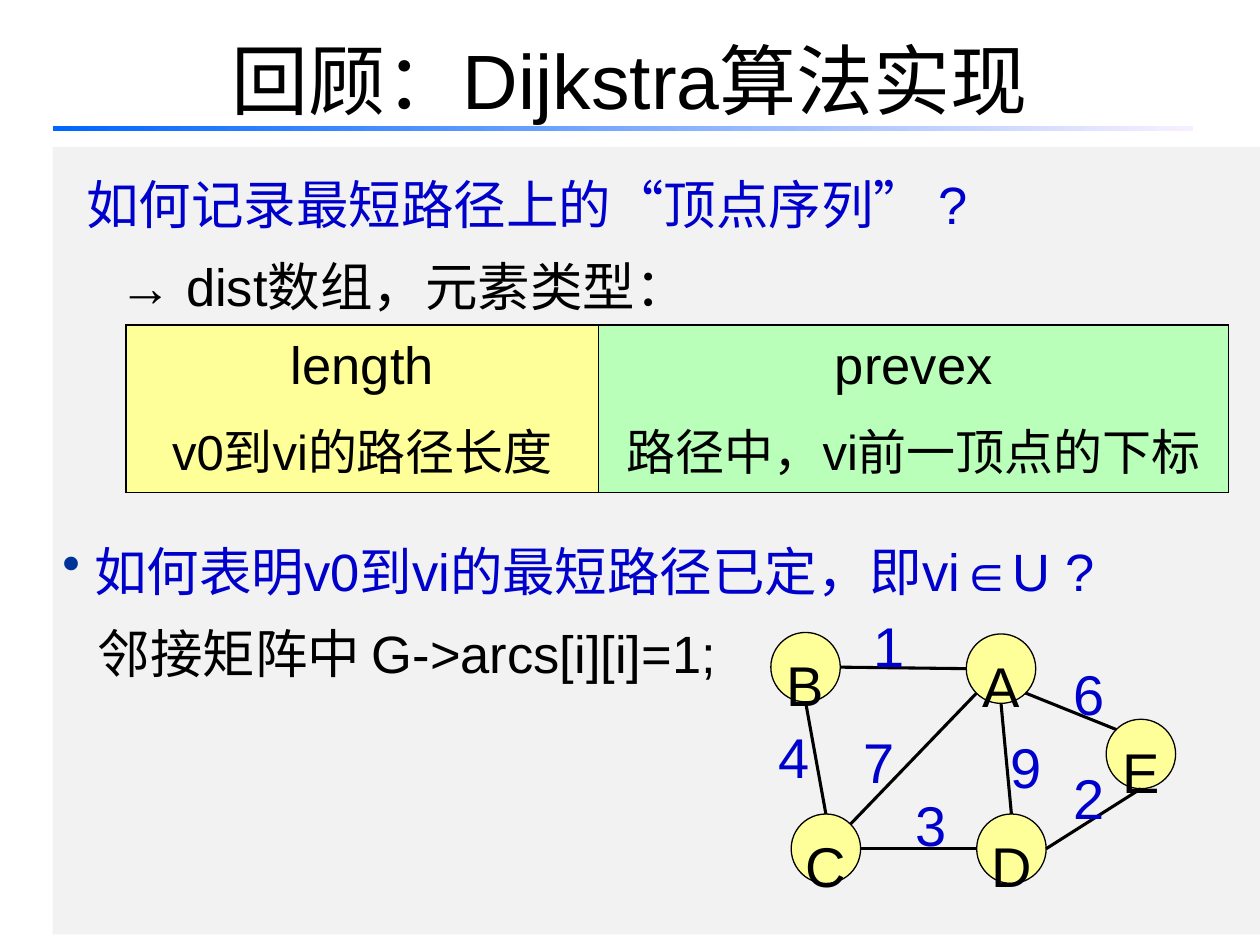
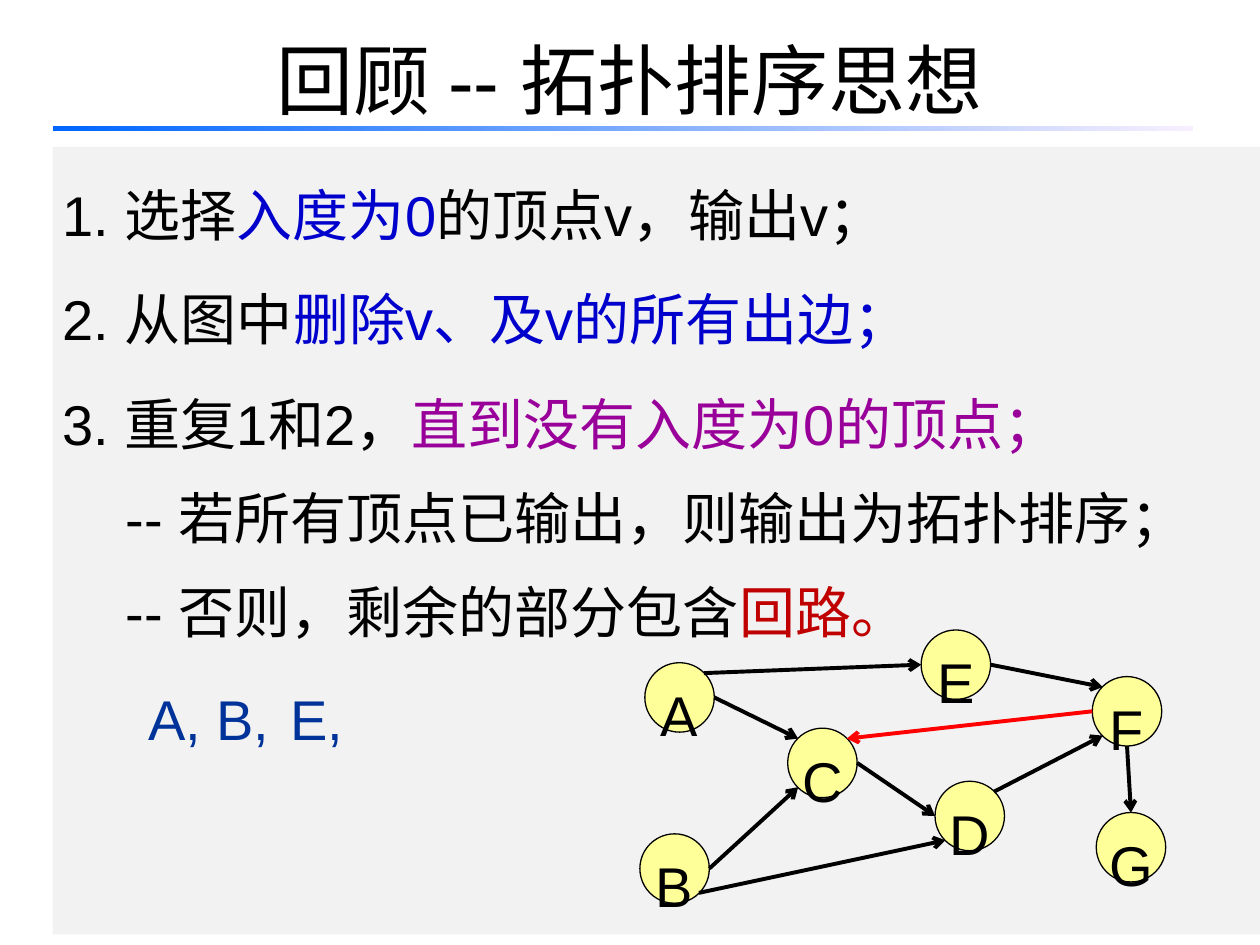
from lxml import etree
from pptx import Presentation
from pptx import util as u
from pptx.dml.color import RGBColor
from pptx.enum import shapes, text
from pptx.oxml.ns import qn

COLORS = {
    "black": "000000", "blue": "0000CC", "navy": "003399", "purple": "990099",
    "crimson": "C00000", "red": "FF0000", "panel": "F2F2F2",
    "yellow": "FFFF99", "green": "B9FFB9",
    "rule_start": "0066FF", "rule_end": "F7EFFF",
}
LATIN, CJK = "Arial", "Noto Sans CJK SC"
NODE_SIZE = 1.4
# Connection sites of an ellipse: number and place as a fraction of its size
SITES = {
    "top": (0, .5, 0), "top_left": (1, .15, .15), "left": (2, 0, .5),
    "bottom_left": (3, .15, .85), "bottom": (4, .5, 1),
    "bottom_right": (5, .85, .85), "right": (6, 1, .5), "top_right": (7, .85, .15),
}


def rgb(name):
    return RGBColor.from_string(COLORS[name])


def write(frame, paragraphs, size=32, font=LATIN, color="black", align="LEFT",
          line=None, anchor="TOP", wrap=True, insets=(.25, .13)):
    """Fill a frame; a paragraph is (runs, options), a run is (words, options)."""
    frame.word_wrap = wrap
    frame.vertical_anchor = getattr(text.MSO_ANCHOR, anchor)
    frame.margin_left = frame.margin_right = u.Cm(insets[0])
    frame.margin_top = frame.margin_bottom = u.Cm(insets[1])
    for number, (runs, options) in enumerate(paragraphs):
        paragraph = frame.add_paragraph() if number else frame.paragraphs[0]
        properties = paragraph._p.get_or_add_pPr()
        properties.set("marL", str(u.Cm(options.get("left", 0))))
        properties.set("indent", str(u.Cm(options.get("first", 0))))
        if "bullet" in options:
            etree.SubElement(properties, qn("a:buChar"), char=options["bullet"])
        paragraph.alignment = getattr(text.PP_ALIGN, align)
        if line:
            paragraph.line_spacing = line
        if "before" in options:
            paragraph.space_before = u.Pt(options["before"])
        for words, style in runs:
            run = paragraph.add_run()
            run.text = words
            run.font.name = style.get("font", font)
            run.font.size = u.Pt(options.get("size", size))
            run.font.bold = style.get("bold", False)
            run.font.color.rgb = rgb(style.get("color", color))


def plain(words, **options):
    return [(words, {})], options


def add_text(slide, paragraphs, left, top, width, height, **style):
    box = slide.shapes.add_textbox(u.Cm(left), u.Cm(top), u.Cm(width), u.Cm(height))
    write(box.text_frame, paragraphs, **style)


def add_shape(slide, kind, left, top, width, height, fill=None, line=None):
    shape = slide.shapes.add_shape(kind, u.Cm(left), u.Cm(top), u.Cm(width), u.Cm(height))
    shape.shadow.inherit = False
    if fill:
        shape.fill.solid()
        shape.fill.fore_color.rgb = rgb(fill)
    if line:
        shape.line.color.rgb = rgb(line)
        shape.line.width = u.Pt(.75)
    else:
        shape.line.fill.background()
    return shape


def add_frame(deck, title_runs):
    """Start a slide with its title, rule and grey panel; return slide and panel."""
    slide = deck.slides.add_slide(deck.slide_layouts[6])
    rule = add_shape(slide, shapes.MSO_SHAPE.RECTANGLE, 1.06, 2.54, 22.99, .1)
    rule.fill.gradient()
    rule.fill.gradient_angle = 0
    for stop, name in zip(rule.fill.gradient_stops, ("rule_start", "rule_end")):
        stop.color.rgb = rgb(name)
    panel = add_shape(slide, shapes.MSO_SHAPE.RECTANGLE, 1.06, 2.96, 24.34, 15.88, "panel")
    add_text(slide, [(title_runs, {})], 1.27, 0, 22.86, 3.18,
             size=44, align="CENTER", anchor="MIDDLE")
    return slide, panel


def add_nodes(slide, places):
    nodes = {}
    for letter, (left, top) in places.items():
        node = add_shape(slide, shapes.MSO_SHAPE.OVAL, left, top,
                         NODE_SIZE, NODE_SIZE, "yellow", "black")
        write(node.text_frame, [plain(letter)], align="CENTER", line=1.5,
              anchor="MIDDLE", wrap=False, insets=(0, 0))
        nodes[letter] = node
    return nodes


def add_edge(slide, nodes, start, start_site, end, end_site,
             color="black", width=1.75, arrow=False):
    points, glue = [], []
    for letter, site in ((start, start_site), (end, end_site)):
        node, (number, across, down) = nodes[letter], SITES[site]
        points += [node.left + int(node.width * across), node.top + int(node.height * down)]
        glue.append({"id": str(node.shape_id), "idx": str(number)})
    edge = slide.shapes.add_connector(shapes.MSO_CONNECTOR.STRAIGHT, *points)
    joints = edge._element.find(".//" + qn("p:cNvCxnSpPr"))
    for tag, ends in zip(("a:stCxn", "a:endCxn"), glue):
        etree.SubElement(joints, qn(tag), ends)
    edge.line.color.rgb = rgb(color)
    edge.line.width = u.Pt(width)
    if arrow:
        etree.SubElement(edge.line._get_or_add_ln(), qn("a:tailEnd"), type="arrow")
    etree.SubElement(edge._element.spPr, qn("a:effectLst"))


def add_border(cell):
    properties = cell._tc.get_or_add_tcPr()
    for place, side in enumerate(("L", "R", "T", "B")):
        border = etree.Element(qn(f"a:ln{side}"), w=str(u.Pt(1)))
        fill = etree.SubElement(border, qn("a:solidFill"))
        etree.SubElement(fill, qn("a:srgbClr"), val=COLORS["black"])
        properties.insert(place, border)


def add_fields_table(slide, fields):
    height = u.Cm(3.38)
    total = u.Cm(sum(width for width, *_ in fields))
    table = slide.shapes.add_table(1, len(fields), u.Cm(2.54), u.Cm(6.55),
                                   total, height).table
    table.first_row = table.horz_banding = False
    for column, (width, fill, name, meaning) in enumerate(fields):
        table.columns[column].width = u.Cm(width)
        cell = table.cell(0, column)
        cell.fill.solid()
        cell.fill.fore_color.rgb = rgb(fill)
        write(cell.text_frame, [plain(name, size=30), plain(meaning, size=28, before=6)],
              align="CENTER", line=1.1)
        cell.margin_left = cell.margin_right = u.Cm(.25)
        cell.margin_top = cell.margin_bottom = u.Cm(.13)
        add_border(cell)


def build_dijkstra(deck):
    slide, panel = add_frame(deck, [("回顾：", {"font": CJK}), ("Dijkstra", {}),
                                    ("算法实现", {"font": CJK})])
    blue = {"color": "blue"}
    write(panel.text_frame, [
        ([("如何记录最短路径上的“顶点序列” ?", blue)], {"left": .48}),
        plain("→ dist数组，元素类型：", left=1.14),
        ([("如何表明v0到vi的最短路径已定，即vi", blue),
          ("∈", {"color": "blue", "bold": True}), ("U ?", blue)],
         {"left": .64, "first": -.64, "bullet": "•", "before": 116}),
        plain("邻接矩阵中 G->arcs[i][i]=1;", left=.71),
    ], size=30, line=1.3, insets=(.2, .13))
    bullet = panel.text_frame.paragraphs[2]._p.pPr.find(qn("a:buChar"))
    bullet_color = etree.Element(qn("a:buClr"))
    etree.SubElement(bullet_color, qn("a:srgbClr"), val=COLORS["navy"])
    bullet.addprevious(bullet_color)

    add_fields_table(slide, [
        (9.53, "yellow", "length", "v0到vi的路径长度"),
        (12.7, "green", "prevex", "路径中，vi前一顶点的下标"),
    ])

    # Weighted graph
    nodes = add_nodes(slide, {"B": (15.54, 12.75), "A": (19.48, 12.78), "C": (15.95, 16.41),
                              "D": (19.69, 16.41), "E": (22.3, 14.5)})
    for ends in (("A", "bottom", "D", "top"), ("A", "left", "B", "right"),
                 ("C", "top", "B", "bottom"), ("D", "left", "C", "right"),
                 ("A", "bottom_left", "C", "top_right"),
                 ("A", "bottom_right", "E", "top_left"), ("E", "bottom", "D", "right")):
        add_edge(slide, nodes, *ends)
    for weight, left, top in (("4", 15.44, 14.43), ("1", 17.35, 12.2), ("6", 21.39, 13.16),
                              ("7", 17.15, 14.53), ("3", 18.21, 15.8), ("9", 20.12, 14.63),
                              ("2", 21.39, 15.27)):
        add_text(slide, [plain(weight)], left, top, 1.9, 1.8, color="blue")


def build_topological_sort(deck):
    slide, panel = add_frame(deck, [("回顾 -- 拓扑排序思想", {})])
    blue = {"color": "blue"}
    step = {"left": 1.42, "first": -1.42}
    later_step = {**step, "before": 6}
    case = {"left": 1.27}
    write(panel.text_frame, [
        ([("1. 选择", {}), ("入度为0", blue), ("的顶点v，输出v；", {})], step),
        ([("2. 从图中", {}), ("删除v、及v的所有出边；", blue)], later_step),
        ([("3. 重复1和2，", {}), ("直到没有入度为0的顶点；", {"color": "purple"})], later_step),
        ([("-- 若所有顶点已输出，则输出为拓扑排序；", {})], case),
        ([("-- 否则，剩余的部分包含", {}), ("回路。", {"color": "crimson"})], case),
    ], align="JUSTIFY", line=1.4, insets=(.2, .13))

    # Directed graph; the red edge closes the cycle
    nodes = add_nodes(slide, {"A": (13, 13.36), "C": (15.88, 14.68), "B": (12.9, 16.81),
                              "D": (18.85, 15.75), "E": (18.57, 12.7), "F": (22.02, 13.64),
                              "G": (22.1, 16.38)})
    for ends in (("A", "right", "C", "top_left"), ("B", "right", "C", "bottom_left"),
                 ("B", "bottom_right", "D", "bottom_left"), ("C", "right", "D", "left"),
                 ("A", "top_right", "E", "left"), ("D", "top_right", "F", "bottom_left"),
                 ("E", "right", "F", "top_left"), ("F", "bottom", "G", "top")):
        add_edge(slide, nodes, *ends, width=2.25, arrow=True)
    add_edge(slide, nodes, "F", "left", "C", "top_right", color="red", width=2.25, arrow=True)

    # Vertices output so far
    for vertex, left in (("A,", 2.74), ("B,", 4.11), ("E,", 5.61)):
        add_text(slide, [plain(vertex)], left, 13.67, 1.6, 1.96, color="navy", wrap=False)


def main():
    deck = Presentation()
    deck.slide_width, deck.slide_height = u.Cm(25.4), u.Cm(19.05)
    build_dijkstra(deck)
    build_topological_sort(deck)
    deck.save("out.pptx")


if __name__ == "__main__":
    main()
